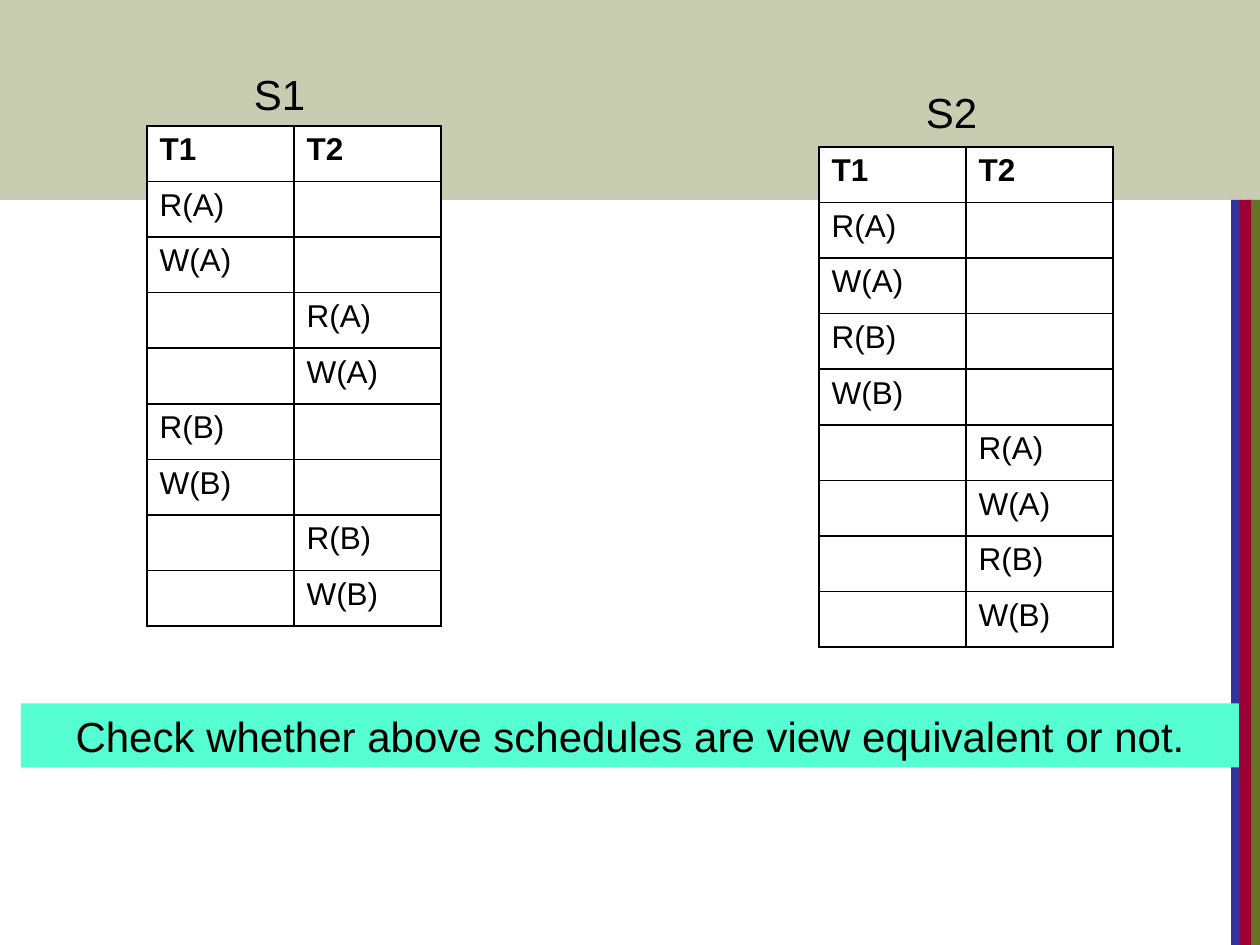
from dataclasses import dataclass

from lxml.etree import SubElement
from pptx import Presentation
from pptx.dml.color import RGBColor
from pptx.enum.shapes import MSO_SHAPE
from pptx.enum.text import PP_ALIGN
from pptx.oxml.ns import qn
from pptx.util import Pt


@dataclass(frozen=True)
class Theme:
    font: str = "Arial"
    text: str = "000000"
    paper: str = "FFFFFF"
    olive: str = "677228"
    blue: str = "333399"
    red: str = "990033"
    mint: str = "56FFD2"
    cell_size: int = 18
    label_size: int = 24


class SlideBuilder:
    def __init__(self, page, theme):
        self.page = page
        self.theme = theme

    def set_text(self, paragraph, text, size, bold=False, align=PP_ALIGN.LEFT):
        paragraph.text = text
        paragraph.alignment = align
        font = paragraph.font
        font.name = self.theme.font
        font.size = Pt(size)
        font.bold = bold
        font.color.rgb = RGBColor.from_string(self.theme.text)

    def rectangle(self, left, top, width, height, color, opacity=100):
        box = self.page.shapes.add_shape(
            MSO_SHAPE.RECTANGLE, Pt(left), Pt(top), Pt(width), Pt(height))
        box.shadow.inherit = False
        box.line.fill.background()
        box.fill.solid()
        box.fill.fore_color.rgb = RGBColor.from_string(color)
        if opacity < 100:
            rgb = box.fill._xPr.find(qn("a:solidFill")).find(qn("a:srgbClr"))
            SubElement(rgb, qn("a:alpha"), val=str(opacity * 1000))
        return box

    def banner(self, left, top, width, height, text):
        box = self.rectangle(left, top, width, height, self.theme.mint)
        box.text_frame.word_wrap = True
        self.set_text(box.text_frame.paragraphs[0], text,
                      self.theme.label_size, align=PP_ALIGN.CENTER)

    def label(self, left, top, width, height, text):
        box = self.page.shapes.add_textbox(Pt(left), Pt(top), Pt(width), Pt(height))
        box.text_frame.word_wrap = True
        self.set_text(box.text_frame.paragraphs[0], text, self.theme.label_size)

    def border(self, cell):
        properties = cell._tc.get_or_add_tcPr()
        for side in ("a:lnL", "a:lnR", "a:lnT", "a:lnB"):
            line = SubElement(properties, qn(side), w=str(Pt(1)))
            fill = SubElement(line, qn("a:solidFill"))
            SubElement(fill, qn("a:srgbClr"), val=self.theme.text)

    def schedule(self, left, top, operations):
        """Draw a table with one (transaction, operation) pair per row."""
        transactions = ("T1", "T2")
        rows = [transactions] + [
            [operation if name == owner else "" for name in transactions]
            for owner, operation in operations]
        column_width, row_height = 84, 31.75
        table = self.page.shapes.add_table(
            len(rows), len(transactions), Pt(left), Pt(top),
            Pt(column_width * len(transactions)), Pt(row_height * len(rows))).table
        table.horz_banding = False
        for row_index, row in enumerate(rows):
            table.rows[row_index].height = Pt(row_height)
            for column_index, text in enumerate(row):
                cell = table.cell(row_index, column_index)
                self.border(cell)
                cell.fill.solid()
                cell.fill.fore_color.rgb = RGBColor.from_string(self.theme.paper)
                self.set_text(cell.text_frame.paragraphs[0], text,
                              self.theme.cell_size, bold=row_index == 0)


def steps(transaction, *items):
    """Pair a read and a write of each item with its transaction."""
    return [(transaction, f"{action}({item})") for item in items for action in "RW"]


def main():
    theme = Theme()
    deck = Presentation()
    deck.slide_width, deck.slide_height = Pt(720), Pt(540)
    blank_layout = deck.slide_layouts[6]
    builder = SlideBuilder(deck.slides.add_slide(blank_layout), theme)

    band_height = 114.25
    for left, width, color in ((712, 8, theme.olive),
                               (703.5, 6.5, theme.blue),
                               (708.5, 6.5, theme.red)):
        builder.rectangle(left, band_height, width, 540 - band_height, color)
    builder.rectangle(0, 0, 720, band_height, theme.olive, opacity=36)

    builder.schedule(84, 72, steps("T1", "A") + steps("T2", "A")
                     + steps("T1", "B") + steps("T2", "B"))
    builder.schedule(468, 84, steps("T1", "A", "B") + steps("T2", "A", "B"))
    builder.label(138, 35.5, 84, 36.5, "S1")
    builder.label(522, 46, 84, 36.5, "S2")
    builder.banner(12, 402, 696, 36.5,
                   "Check whether above schedules are view equivalent or not.")
    deck.save("out.pptx")


if __name__ == "__main__":
    main()
